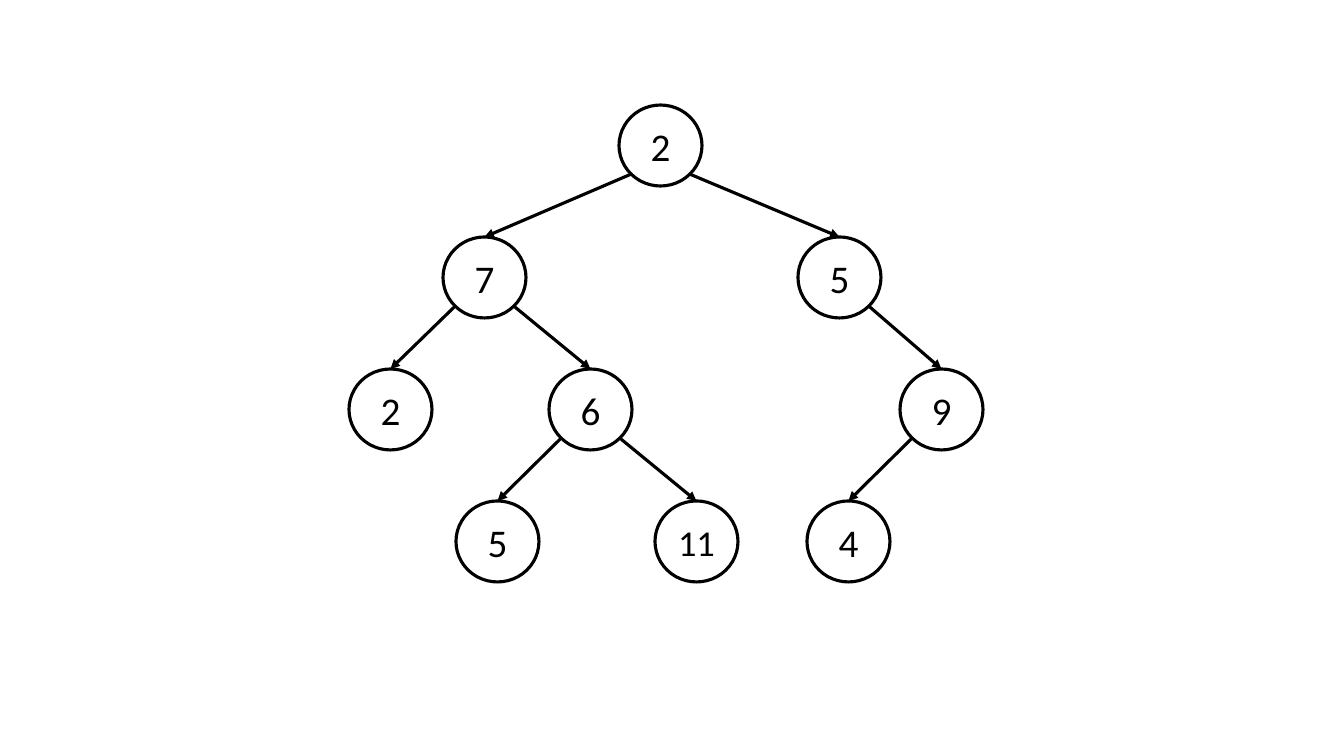
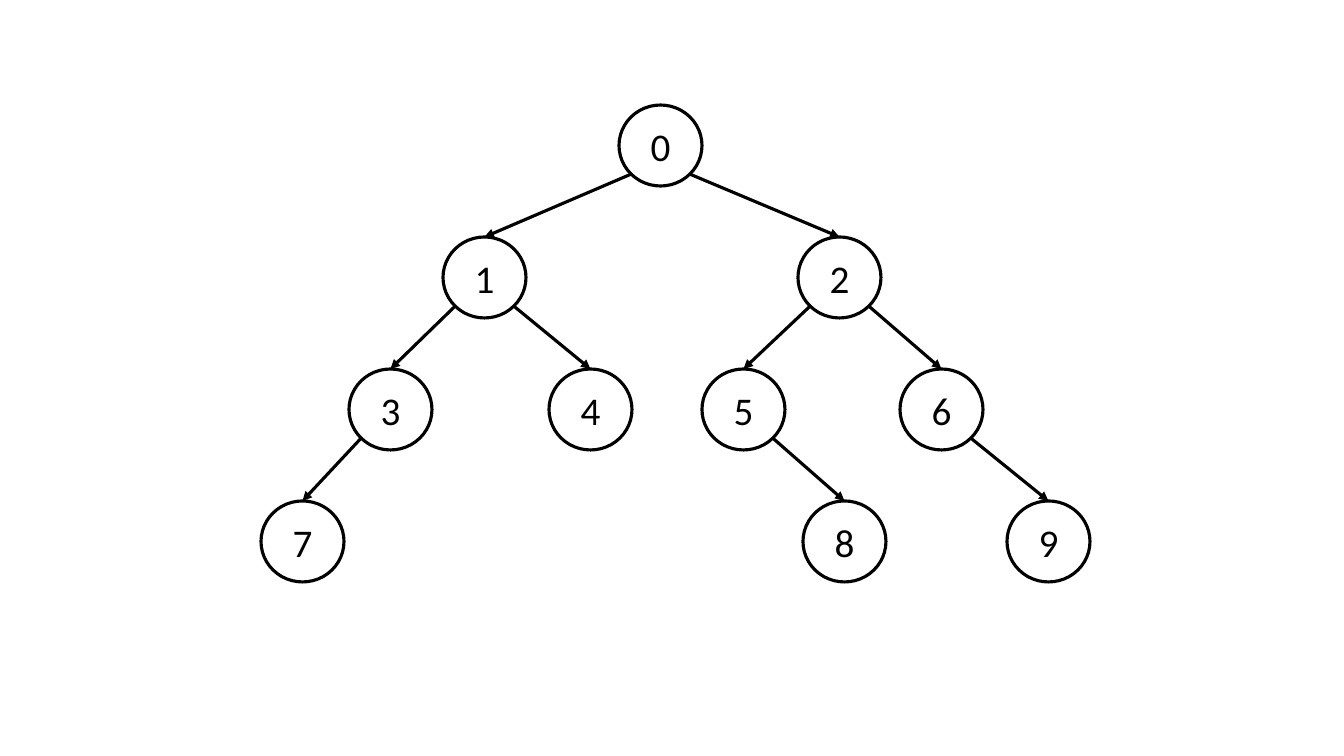
import dataclasses
import math
from typing import Optional

import lxml.etree
import pptx
import pptx.dml.color
import pptx.enum.shapes
import pptx.enum.text
import pptx.oxml.ns
import pptx.util

PX = 914400 / 100.8  # EMU per px

# Slide and tree geometry, in px
SLIDE_WIDTH, SLIDE_HEIGHT = 1344, 756
NODE_WIDTH, NODE_HEIGHT = 83, 81
ROOT_TOP, LEVEL_STEP = 105, 132

# Connection sites of an ellipse
TOP, BOTTOM_LEFT, BOTTOM_RIGHT = 0, 3, 5


@dataclasses.dataclass(frozen=True)
class Theme:
    ink: pptx.dml.color.RGBColor = pptx.dml.color.RGBColor(0, 0, 0)
    font: str = "Calibri"
    one_digit: int = 28
    two_digits: int = 26
    stroke: float = 2.25


@dataclasses.dataclass(frozen=True)
class Node:
    label: str
    center: int  # px from the left edge of the slide
    left: Optional["Node"] = None
    right: Optional["Node"] = None


THEME = Theme()

VALUE_TREE = Node(
    "2", 660,
    Node("7", 484,
         Node("2", 390),
         Node("6", 590, Node("5", 497), Node("11", 696))),
    Node("5", 839,
         right=Node("9", 941, left=Node("4", 848))))

INDEX_TREE = Node(
    "0", 660,
    Node("1", 484,
         Node("3", 390, left=Node("7", 302)),
         Node("4", 590)),
    Node("2", 839,
         Node("5", 743, right=Node("8", 844)),
         Node("6", 941, right=Node("9", 1048))))


def emu(px):
    return pptx.util.Emu(round(px * PX))


def style_line(line):
    line.color.rgb = THEME.ink
    line.width = pptx.util.Pt(THEME.stroke)


def add_circle(slide, node, top):
    circle = slide.shapes.add_shape(
        pptx.enum.shapes.MSO_SHAPE.OVAL,
        emu(node.center - NODE_WIDTH // 2), emu(top),
        emu(NODE_WIDTH), emu(NODE_HEIGHT))
    circle.shadow.inherit = False
    circle.fill.background()
    style_line(circle.line)

    frame = circle.text_frame
    frame.margin_left = frame.margin_right = 0
    frame.margin_top = frame.margin_bottom = 0
    frame.vertical_anchor = pptx.enum.text.MSO_ANCHOR.MIDDLE
    label = frame.paragraphs[0]
    label.text = node.label
    label.alignment = pptx.enum.text.PP_ALIGN.CENTER
    size = THEME.one_digit if len(node.label) == 1 else THEME.two_digits
    label.font.name = THEME.font
    label.font.size = pptx.util.Pt(size)
    label.font.color.rgb = THEME.ink
    return circle


def add_arrow(slide, parent, child, site):
    """Join a lower diagonal site of the parent to the top of the child."""
    side = -1 if site == BOTTOM_LEFT else 1
    reach = math.sqrt(0.5) / 2
    arrow = slide.shapes.add_connector(
        pptx.enum.shapes.MSO_CONNECTOR.STRAIGHT,
        round(parent.left + parent.width * (0.5 + side * reach)),
        round(parent.top + parent.height * (0.5 + reach)),
        child.left + child.width // 2, child.top)
    style_line(arrow.line)

    # Arrowhead, no shadow, and glue to both circles
    qn = pptx.oxml.ns.qn
    lxml.etree.SubElement(arrow.line._get_or_add_ln(), qn("a:tailEnd"),
                          type="triangle")
    lxml.etree.SubElement(arrow._element.spPr, qn("a:effectLst"))
    joints = arrow._element.find(".//" + qn("p:cNvCxnSpPr"))
    for tag, circle, index in (("a:stCxn", parent, site),
                               ("a:endCxn", child, TOP)):
        lxml.etree.SubElement(joints, qn(tag),
                              id=str(circle.shape_id), idx=str(index))


def add_tree(slide, node, depth=0):
    circle = add_circle(slide, node, ROOT_TOP + depth * LEVEL_STEP)
    for child, site in ((node.left, BOTTOM_LEFT), (node.right, BOTTOM_RIGHT)):
        if child:
            add_arrow(slide, circle, add_tree(slide, child, depth + 1), site)
    return circle


def main():
    deck = pptx.Presentation()
    deck.slide_width, deck.slide_height = emu(SLIDE_WIDTH), emu(SLIDE_HEIGHT)
    blank = deck.slide_layouts.get_by_name("Blank")
    for root in (VALUE_TREE, INDEX_TREE):
        add_tree(deck.slides.add_slide(blank), root)
    deck.save("out.pptx")


if __name__ == "__main__":
    main()
